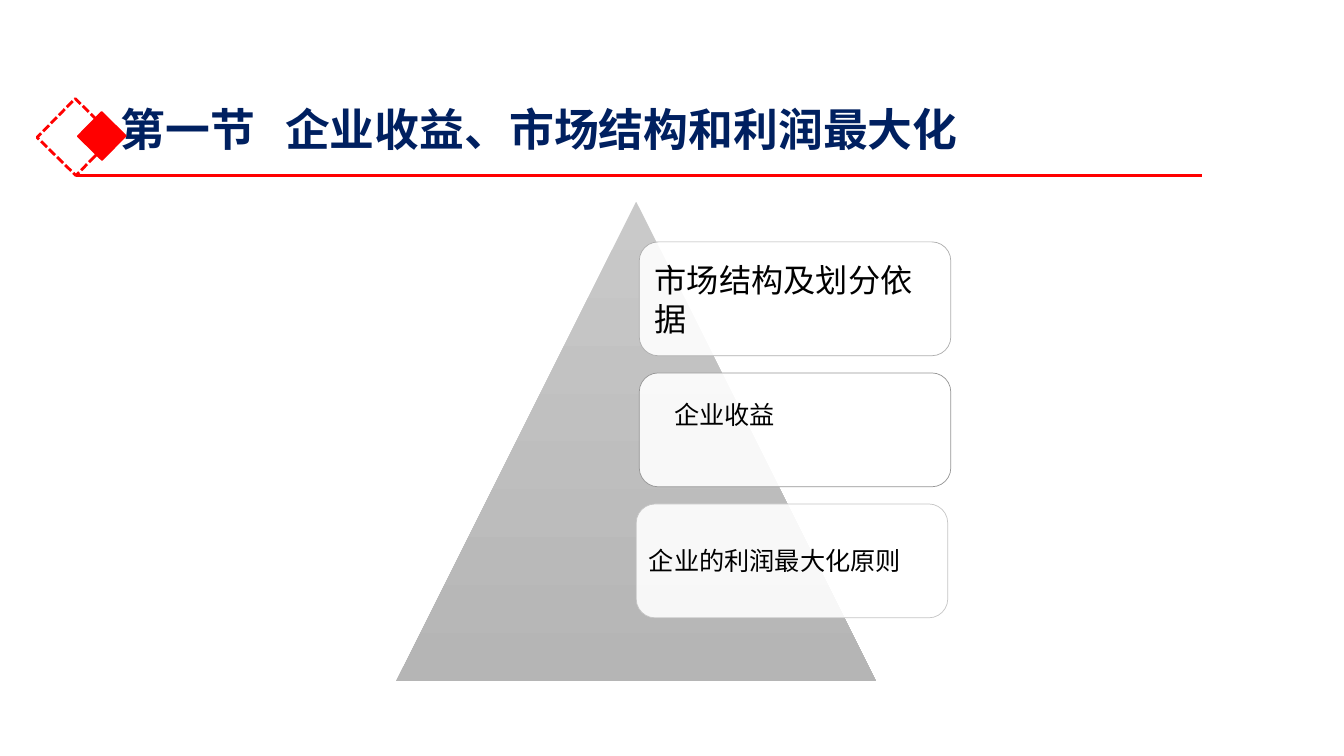
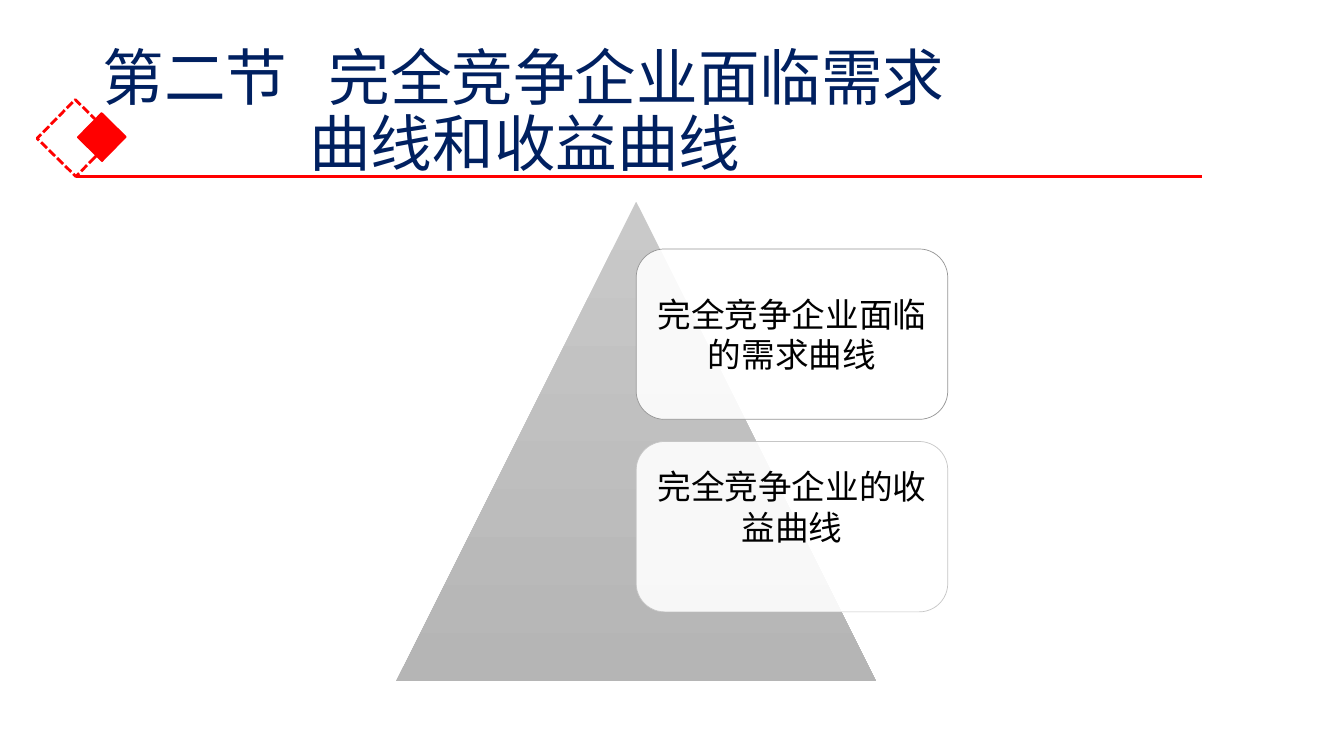
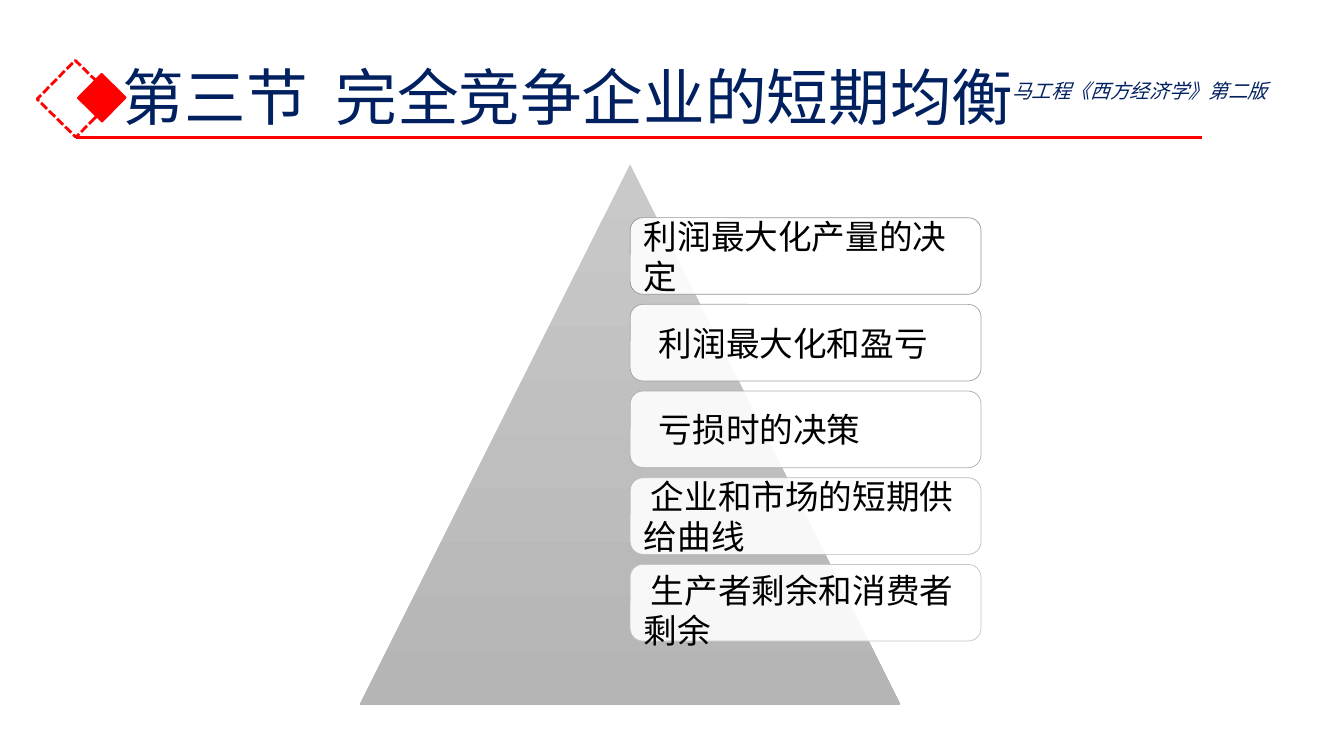
from dataclasses import dataclass

from lxml.etree import SubElement as Sub
from pptx import Presentation
from pptx.dml.color import RGBColor as Rgb
from pptx.enum.dml import MSO_LINE as Dash
from pptx.enum.shapes import MSO_CONNECTOR as Link, MSO_SHAPE as Form
from pptx.enum.text import MSO_ANCHOR as Anchor, PP_ALIGN as Align
from pptx.oxml.ns import qn
from pptx.util import Inches, Pt


@dataclass(frozen=True)
class Theme:
    font: str = "Noto Sans CJK SC"
    navy: str = "002060"
    red: str = "FF0000"
    black: str = "000000"
    white: str = "FFFFFF"
    light: str = "C9C9C9"
    dark: str = "B5B5B5"
    edge: tuple = (0x96, 0xC6)
    head: int = 44
    small: int = 32
    body: int = 24
    item: int = 18
    note: int = 14


T = Theme()


def color(code):
    return Rgb.from_string(code)


def inch(*nums):
    return [Inches(n) for n in nums]


def write(para, text, size, tint, bold=False, ital=False):
    run = para.add_run()
    run.text = text
    font = run.font
    font.size, font.bold, font.italic = Pt(size), bold, ital
    font.color.rgb = color(tint)
    font.name = T.font
    Sub(run._r.get_or_add_rPr(), qn("a:ea"), typeface=T.font)


def label(slide, box):
    frame = slide.shapes.add_textbox(*inch(*box)).text_frame
    frame.word_wrap = True
    return frame


def shape(slide, form, box):
    part = slide.shapes.add_shape(form, *inch(*box))
    part.shadow.inherit = False
    return part


def title(slide, box, lines, size, tab, bold=False):
    frame = label(slide, box)
    frame.vertical_anchor = Anchor.MIDDLE
    for i, (text, left) in enumerate(lines):
        para = frame.add_paragraph() if i else frame.paragraphs[0]
        para.line_spacing = 0.9
        props = para._p.get_or_add_pPr()
        props.set("marL", str(Inches(left)))
        tabs = Sub(props, qn("a:tabLst"))
        Sub(tabs, qn("a:tab"), pos=str(Inches(tab)), algn="l")
        write(para, text, size, T.navy, bold)


def band(slide, base):
    for left, rise, side, solid in ((0.48, 0.65, 0.54, False), (0.84, 0.56, 0.34, True)):
        mark = shape(slide, Form.RECTANGLE, (left, base - rise, side, side))
        mark.rotation = 314.5
        mark.line.color.rgb = color(T.red)
        if solid:
            mark.fill.solid()
            mark.fill.fore_color.rgb = color(T.red)
            mark.line.width = Pt(1)
        else:
            mark.fill.background()
            mark.line.width = Pt(2)
            mark.line.dash_style = Dash.SQUARE_DOT
    rule = slide.shapes.add_connector(Link.STRAIGHT, *inch(0.75, base, 11.92, base))
    rule.line.color.rgb = color(T.red)
    rule.line.width = Pt(2.25)
    Sub(rule._element.spPr, qn("a:effectLst"))


def peak(slide, left, top, side):
    cone = shape(slide, Form.ISOSCELES_TRIANGLE, (left, top, side, side))
    cone.line.fill.background()
    cone.fill.gradient()
    cone.fill.gradient_angle = 270
    for stop, tint, place in zip(cone.fill.gradient_stops, (T.light, T.dark), (0, 1)):
        stop.color.rgb = color(tint)
        stop.position = place


@dataclass
class Item:
    text: str
    size: int = T.body
    indent: float = 0
    pad: float = 0.1
    over: float = 0
    under: float = 0
    shift: float = 0
    align: Align = Align.LEFT


def card(slide, box, item, edge):
    tile = shape(slide, Form.ROUNDED_RECTANGLE, box)
    tile.fill.solid()
    tile.fill.fore_color.rgb = color(T.white)
    tint = tile._element.spPr.find(qn("a:solidFill"))[0]
    Sub(tint, qn("a:alpha"), val="90000")
    tile.line.color.rgb = Rgb(edge, edge, edge)
    tile.line.width = Pt(0.5)
    frame = tile.text_frame
    frame.word_wrap = True
    frame.vertical_anchor = Anchor.MIDDLE
    frame.margin_left = frame.margin_right = Inches(item.pad)
    frame.margin_top = Inches(item.pad + item.over)
    frame.margin_bottom = Inches(item.pad + item.under)
    para = frame.paragraphs[0]
    para.alignment = item.align
    para._p.get_or_add_pPr().set("indent", str(Inches(item.indent)))
    write(para, item.text, item.size, T.black)


def stack(slide, box, step, items, order):
    left, top, wide, high = box
    low, far = T.edge
    for i in order:
        edge = low + (far - low) * order.index(i) // (len(items) - 1)
        spot = (left + items[i].shift, top + i * step, wide, high)
        card(slide, spot, items[i], edge)


def page(deck, head, base, cone, box, step, items, order=None):
    slide = deck.slides.add_slide(deck.slide_layouts[6])
    title(slide, *head)
    peak(slide, *cone)
    stack(slide, box, step, items, order or list(range(len(items))))
    band(slide, base)
    return slide


def main():
    deck = Presentation()
    deck.slide_width, deck.slide_height = inch(13.33, 7.5)
    cone = (3.93, 2, 4.76)

    page(
        deck,
        ((1.1, 0.58, 11.5, 1.45), [("第一节\t企业收益、市场结构和利润最大化", 0)], T.small, 1.63, True),
        1.74, cone, (6.34, 2.4, 3.09, 1.13), 1.3,
        [
            Item("市场结构及划分依据", 23),
            Item("企业收益", T.item, indent=0.22, pad=0.07, under=0.3),
            Item("企业的利润最大化原则", T.item, pad=0.07, shift=-0.03),
        ],
        [1, 0, 2],
    )

    page(
        deck,
        ((0.92, 0.4, 11.5, 1.45),
         [("第二节\t完全竞争企业面临需求", 0), ("曲线和收益曲线", 2.05)], T.head, 2.24),
        1.75, cone, (6.31, 2.47, 3.09, 1.69), 1.91,
        [
            Item("完全竞争企业面临的需求曲线", align=Align.CENTER),
            Item("完全竞争企业的收益曲线", under=0.4, align=Align.CENTER),
        ],
    )

    last = page(
        deck,
        ((1.12, 0.27, 11.3, 1.45), [("第三节\t完全竞争企业的短期均衡", 0)], T.head, 2.11),
        1.36, (3.57, 1.63, 5.36), (6.25, 2.16, 3.48, 0.76), 0.86,
        [
            Item("利润最大化产量的决定"),
            Item("利润最大化和盈亏", indent=0.15),
            Item("亏损时的决策", indent=0.15),
            Item("企业和市场的短期供给曲线", indent=0.07),
            Item("生产者剩余和消费者剩余", indent=0.07, over=0.14),
        ],
    )
    note = label(last, (9.94, 0.73, 3.24, 0.34))
    write(note.paragraphs[0], "马工程《西方经济学》第二版", T.note, T.navy, ital=True)

    deck.save("out.pptx")


if __name__ == "__main__":
    main()
